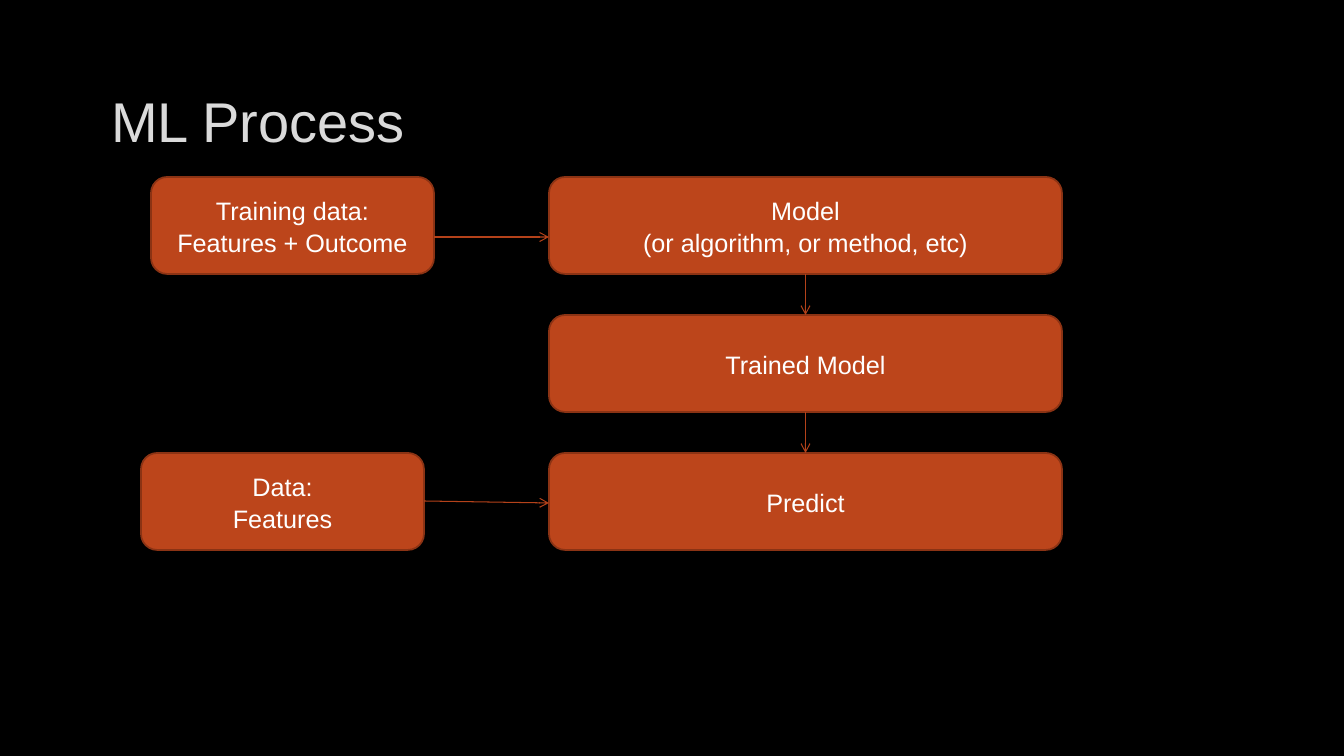
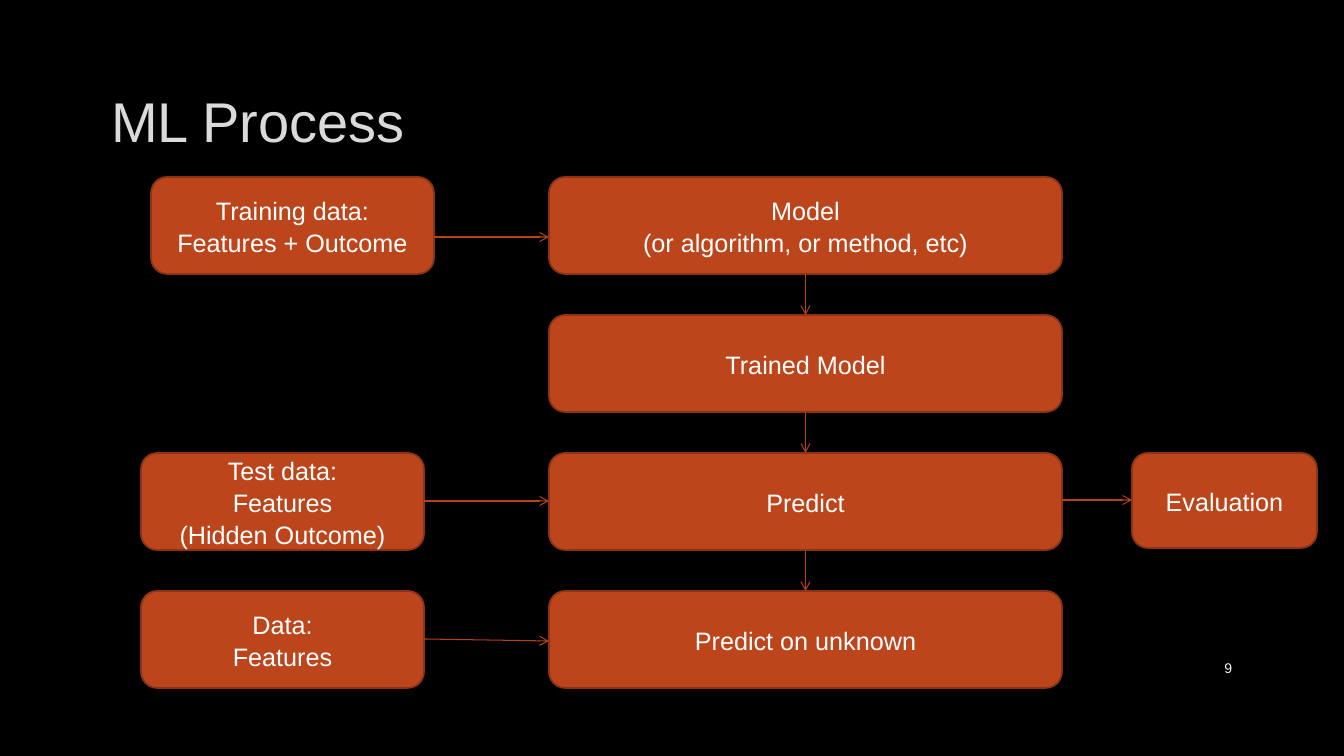
"""Build two slides that chart the machine learning process."""
from dataclasses import dataclass

from lxml.etree import SubElement
from pptx import Presentation
from pptx.dml.color import RGBColor as Rgb
from pptx.enum.shapes import MSO_CONNECTOR as Line, MSO_SHAPE as Shape
from pptx.enum.text import MSO_ANCHOR as Anchor, PP_ALIGN as Align
from pptx.oxml import parse_xml
from pptx.oxml.ns import nsdecls, qn
from pptx.util import Emu, Pt


@dataclass(frozen=True)
class Theme:
    font: str = "Arial"
    back: str = "000000"
    title: str = "DADADA"
    halo: str = "404040"
    box: str = "BC451B"
    edge: str = "8B3314"
    arrow: str = "B4421A"
    text: str = "FFFFFF"
    page: str = "F2F2F2"
    big: int = 40
    body: int = 18
    small: int = 10
    thick: float = 1.25
    thin: float = 0.75
    lead: float = 1.05


THEME = Theme()
SCALE = 914400 / 100.8
SIZE = 1344, 756
TITLE = 101, 67, 1141, 107
PAGE = 1159, 648, 83, 40
TOP, PITCH, HIGH = 177, 138, 97
MAIN_X, MAIN_W = 549, 513
SIDE_W = 283
EVAL_X, EVAL_W, EVAL_H = 1132, 185, 95

STEPS = ["Model\n(or algorithm, or method, etc)", "Trained Model", "Predict"]
TRAIN = ("Training data:\nFeatures + Outcome", 0, 151, 60, 60)
TEST = ("Test data:\nFeatures\n(Hidden Outcome)", 2, 141, 48, 48)
DATA = "Data:\nFeatures"

SLIDES = [
    {
        "title": "ML Process",
        "steps": STEPS,
        "inputs": [TRAIN, (DATA, 2, 141, 48, 50)],
    },
    {
        "title": "ML Process",
        "steps": STEPS + ["Predict on unknown"],
        "inputs": [TRAIN, TEST, (DATA, 3, 141, 48, 50)],
        "result": ("Evaluation", 2, 47),
        "page": "9",
    },
]


def px(num):
    return Emu(round(num * SCALE))


def row_y(row):
    return TOP + row * PITCH


def style(frame, size, color, align):
    frame.word_wrap = True
    frame.vertical_anchor = Anchor.MIDDLE
    for para in frame.paragraphs:
        para.alignment = align
        for run in para.runs:
            run.font.name = THEME.font
            run.font.size = Pt(size)
            run.font.color.rgb = Rgb.from_string(color)


def add_title(slide, text):
    title = slide.shapes.title
    title.left, title.top, title.width, title.height = map(px, TITLE)
    frame = title.text_frame
    frame.text = text
    style(frame, THEME.big, THEME.title, Align.LEFT)
    props = frame.paragraphs[0].runs[0].font._element
    props.insert(0, parse_xml(
        f'<a:ln {nsdecls("a")} w="{Pt(THEME.thin)}"><a:solidFill>'
        f'<a:srgbClr val="{THEME.halo}"><a:alpha val="10000"/></a:srgbClr>'
        '</a:solidFill></a:ln>'))


def add_page(slide, text):
    frame = slide.shapes.add_textbox(*map(px, PAGE)).text_frame
    frame.text = text
    style(frame, THEME.small, THEME.page, Align.RIGHT)


def add_box(slide, text, left, row, wide, high=HIGH):
    area = map(px, (left, row_y(row), wide, high))
    box = slide.shapes.add_shape(Shape.ROUNDED_RECTANGLE, *area)
    box.shadow.inherit = False
    box.fill.solid()
    box.fill.fore_color.rgb = Rgb.from_string(THEME.box)
    box.line.color.rgb = Rgb.from_string(THEME.edge)
    box.line.width = Pt(THEME.thick)
    frame = box.text_frame
    frame.text = text
    style(frame, THEME.body, THEME.text, Align.CENTER)
    for para in frame.paragraphs:
        para.line_spacing = THEME.lead
    return box


def add_arrow(slide, *ends):
    link = slide.shapes.add_connector(Line.STRAIGHT, *map(px, ends))
    link.line.color.rgb = Rgb.from_string(THEME.arrow)
    link.line.width = Pt(THEME.thin)
    SubElement(link.line._get_or_add_ln(), qn("a:tailEnd"), type="arrow")
    SubElement(link._element.spPr, qn("a:effectLst"))
    return link


def add_steps(slide, steps):
    boxes = [add_box(slide, text, MAIN_X, row, MAIN_W)
             for row, text in enumerate(steps)]
    for start, end in zip(boxes, boxes[1:]):
        link = add_arrow(slide, 0, 0, 0, 0)
        link.begin_connect(start, 2)
        link.end_connect(end, 0)


def add_input(slide, text, row, left, start, end):
    add_box(slide, text, left, row, SIDE_W)
    top = row_y(row)
    add_arrow(slide, left + SIDE_W, top + start, MAIN_X, top + end)


def add_result(slide, text, row, drop):
    add_box(slide, text, EVAL_X, row, EVAL_W, EVAL_H)
    mid = row_y(row) + drop
    add_arrow(slide, MAIN_X + MAIN_W, mid, EVAL_X, mid)


def main():
    deck = Presentation()
    deck.slide_width, deck.slide_height = map(px, SIZE)
    fill = deck.slide_master.background.fill
    fill.solid()
    fill.fore_color.rgb = Rgb.from_string(THEME.back)
    for item in SLIDES:
        slide = deck.slides.add_slide(deck.slide_layouts[5])
        add_title(slide, item["title"])
        add_steps(slide, item["steps"])
        for entry in item["inputs"]:
            add_input(slide, *entry)
        if "result" in item:
            add_result(slide, *item["result"])
        if "page" in item:
            add_page(slide, item["page"])
    deck.save("out.pptx")


if __name__ == "__main__":
    main()
